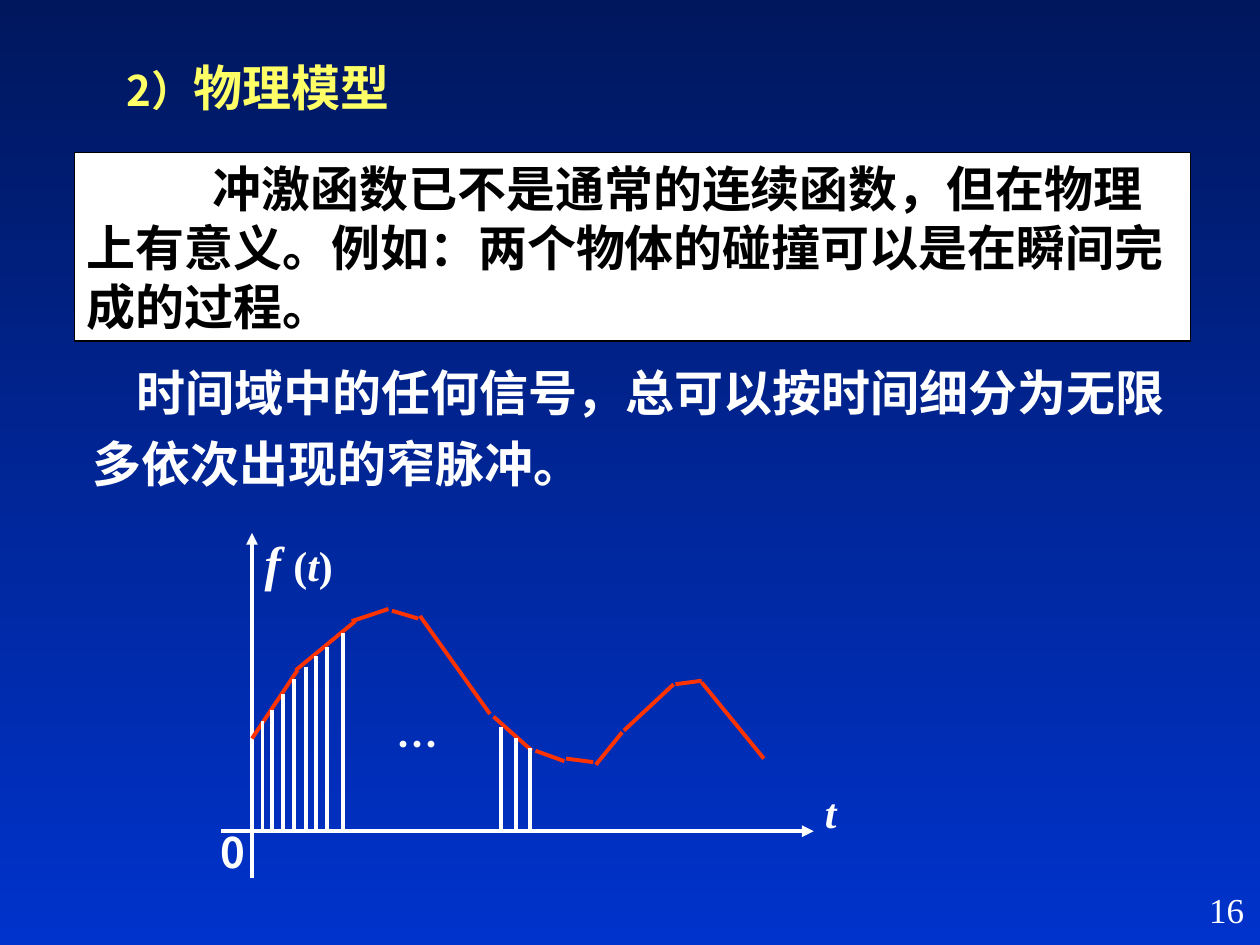
from lxml.etree import SubElement
from pptx import Presentation
from pptx.dml.color import RGBColor
from pptx.enum.shapes import MSO_CONNECTOR as Link, MSO_SHAPE as Form
from pptx.enum.text import MSO_ANCHOR as Anchor, PP_ALIGN as Align
from pptx.oxml.ns import qn
from pptx.util import Pt

WHITE = RGBColor(0xFF, 0xFF, 0xFF)
BLACK = RGBColor(0, 0, 0)
YELLOW = RGBColor(0xFF, 0xFF, 0x66)
RED = RGBColor(0xFF, 0x33, 0x00)
NAVY = RGBColor(0x00, 0x17, 0x5E)
BLUE = RGBColor(0x00, 0x33, 0xCC)
SANS = "Noto Sans CJK SC"
SERIF = "Times New Roman"

BASE = 475  # height of the time axis

# Short strokes of the signal curve: x1, y1, x2, y2
CURVE = [
    (144, 422, 170, 383), (169, 383, 203, 355), (201, 355, 222, 348),
    (224, 349, 239, 353.5), (240, 352, 280, 408), (282, 409.5, 304, 429),
    (306, 429, 322.5, 435), (323.5, 433.5, 339, 435.5),
    (340.5, 437, 355.5, 418.5), (356.5, 417.5, 385, 391),
    (386, 391, 401, 389), (401, 390, 436.5, 433.5),
]

# Narrow pulses: x and top
PULSES = [
    (150, 412), (155.5, 406), (161.5, 396.5), (168, 388), (175, 381),
    (180.5, 375), (187, 369.5), (196, 361.5),
    (286.5, 415.5), (295, 422), (303, 427.5),
]


def box(slide, x, y, w, h):
    return slide.shapes.add_textbox(Pt(x), Pt(y), Pt(w), Pt(h))


def panel(slide, x, y, w, h):
    item = slide.shapes.add_shape(
        Form.RECTANGLE, Pt(x), Pt(y), Pt(w), Pt(h))
    item.shadow.inherit = False
    item.fill.solid()
    item.fill.fore_color.rgb = WHITE
    item.line.color.rgb = BLACK
    item.line.width = Pt(0.75)
    return item


def write(item, *runs, size=28, font=SANS, color=WHITE, bold=True,
          align=Align.LEFT, indent=0, space=None):
    """Fill a shape with one paragraph; a run is text or (text, size, italic)."""
    frame = item.text_frame
    frame.word_wrap = True
    frame.vertical_anchor = Anchor.TOP
    para = frame.paragraphs[0]
    para.alignment = align
    para.line_spacing = space
    if indent:
        para._p.get_or_add_pPr().set("indent", str(Pt(indent)))
    for part in runs:
        text, pts, slant = (part, size, False) if isinstance(part, str) else part
        run = para.add_run()
        run.text = text
        face = run.font
        face.size, face.name = Pt(pts), font
        face.bold, face.italic = bold, slant
        face.color.rgb = color
        SubElement(run._r.get_or_add_rPr(), qn("a:ea"), typeface=font)


def line(slide, x1, y1, x2, y2, color=WHITE, arrow=False):
    item = slide.shapes.add_connector(
        Link.STRAIGHT, Pt(x1), Pt(y1), Pt(x2), Pt(y2))
    item.line.color.rgb = color
    item.line.width = Pt(2.25)
    if arrow:
        SubElement(item.line._get_or_add_ln(), qn("a:tailEnd"), type="triangle")
    SubElement(item._element.spPr, qn("a:effectLst"))


def paint(slide):
    fill = slide.background.fill
    fill.gradient()
    fill.gradient_angle = 270
    for stop, color, pos in zip(fill.gradient_stops, (NAVY, BLUE), (0, 1)):
        stop.color.rgb = color
        stop.position = pos


def prose(slide):
    write(box(slide, 65.5, 29.5, 200, 41), ("2）", 24, False), "物理模型",
          color=YELLOW)
    write(panel(slide, 42.5, 87, 638, 108),
          "冲激函数已不是通常的连续函数，但在物理上有意义。"
          "例如：两个物体的碰撞可以是在瞬间完成的过程。",
          color=BLACK, indent=72)
    write(box(slide, 46, 197, 628.5, 88),
          "时间域中的任何信号，总可以按时间细分为无限多依次出现的窄脉冲。",
          indent=25, space=1.2)


def graph(slide):
    # Axes
    line(slide, 126.5, BASE, 465, BASE, arrow=True)
    line(slide, 144, 502, 144, 304.5, arrow=True)
    # Curve and pulses
    for ends in CURVE:
        line(slide, *ends, color=RED)
    for x, top in PULSES:
        line(slide, x, top, x, BASE)
    # Labels
    mid = Align.CENTER
    write(box(slide, 104, 469, 58.5, 36), "0", size=24, align=mid)
    write(box(slide, 216, 407, 45.5, 36), "…", size=24, align=mid)
    write(box(slide, 461, 446, 27.5, 36), ("t", 24, True),
          font=SERIF, align=mid)
    write(box(slide, 134, 301, 73.5, 41), ("f ", 28, True), ("(", 24, False),
          ("t", 24, True), (")", 24, False), font=SERIF, align=mid)


def main():
    deck = Presentation()
    deck.slide_width, deck.slide_height = Pt(720), Pt(540)
    slide = deck.slides.add_slide(deck.slide_layouts[6])
    paint(slide)
    prose(slide)
    graph(slide)
    # Page number
    write(box(slide, 568, 504, 150, 36), "16", size=20, font=SERIF,
          bold=False, align=Align.RIGHT)
    deck.save("out.pptx")


if __name__ == "__main__":
    main()
